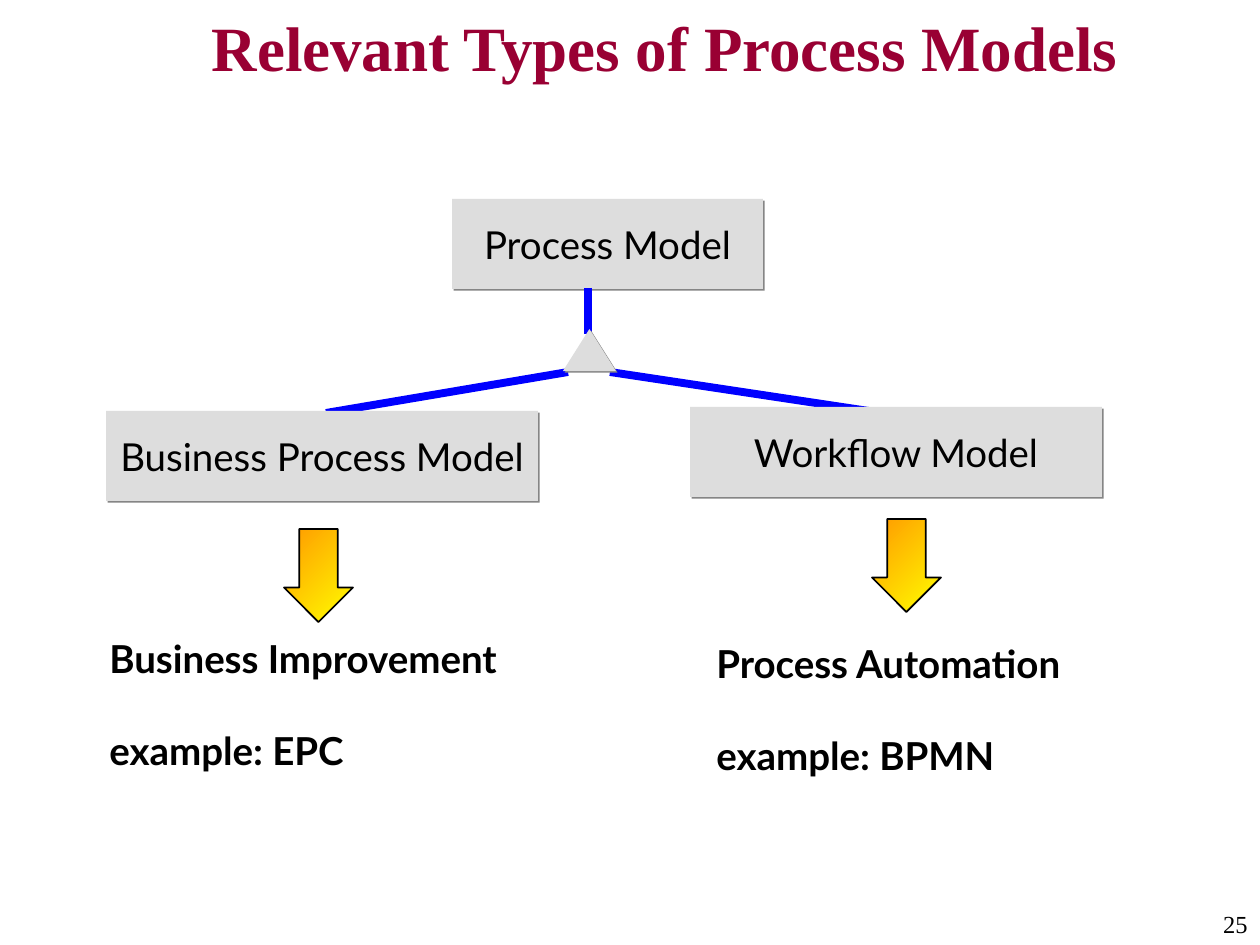
from typing import NamedTuple

from lxml.etree import SubElement
from pptx import Presentation
from pptx.dml.color import RGBColor
from pptx.enum.shapes import MSO_CONNECTOR, MSO_SHAPE as Kind
from pptx.enum.text import MSO_ANCHOR as Anchor, PP_ALIGN as Align
from pptx.oxml.ns import qn
from pptx.util import Emu, Pt

SCALE = 914400 / 126
SANS, SERIF = "Lato", "Times New Roman"
BLACK, GREY, SHADE, BLUE, RED = "000000", "DDDDDD", "858585", "0000FF", "990033"
ORANGE, YELLOW = "FF9900", "FFFF00"


class Area(NamedTuple):
    left: int
    top: int
    width: int
    height: int


class Box(NamedTuple):
    area: Area
    text: str


class Line(NamedTuple):
    x1: int
    y1: int
    x2: int
    y2: int


BOXES = [
    Box(Area(106, 411, 432, 90), "Business Process Model"),
    Box(Area(690, 407, 412, 90), "Workflow Model"),
    Box(Area(452, 199, 311, 90), "Process Model"),
]
NOTES = [
    Box(Area(97, 629, 469, 151), "Business Improvement\nexample: EPC"),
    Box(Area(704, 634, 412, 151), "Process Automation\nexample: BPMN"),
]
BRANCHES = [Line(882, 413, 610, 372), Line(568, 372, 326, 413)]
STEM = Line(588, 288, 588, 334)
JOINT = Area(563, 329, 53, 42)
ARROWS = [Area(872, 519, 69, 93), Area(284, 529, 69, 93)]


def px(num: int) -> Emu:
    return Emu(round(num * SCALE))


def spot(area: tuple) -> list[Emu]:
    return [px(num) for num in area]


def color(code: str) -> RGBColor:
    return RGBColor.from_string(code)


def write(shape, text: str, size: int, font: str = SANS, code: str = BLACK,
          bold: bool = False, align=Align.LEFT, anchor=Anchor.TOP, gap: int = 0) -> None:
    """Fill a shape with text; gap is the space in points before later paragraphs."""
    frame = shape.text_frame
    frame.text = text
    frame.word_wrap = True
    frame.vertical_anchor = anchor
    for num, para in enumerate(frame.paragraphs):
        para.alignment = align
        para.space_before = Pt(gap if num else 0)
        for run in para.runs:
            run.font.size, run.font.name, run.font.bold = Pt(size), font, bold
            run.font.color.rgb = color(code)


def add_block(slide, kind, area: Area):
    """Add a grey shape with a thin hard shadow."""
    shape = slide.shapes.add_shape(kind, *spot(area))
    shape.fill.solid()
    shape.fill.fore_color.rgb = color(GREY)
    shape.line.fill.background()
    shape.shadow.inherit = False
    effects = shape._element.spPr.find(qn("a:effectLst"))
    outer = SubElement(effects, qn("a:outerShdw"), dist=str(Pt(1.4)), dir="2700000",
                       algn="tl", rotWithShape="0")
    SubElement(outer, qn("a:srgbClr"), val=SHADE)
    return shape


def add_line(slide, line: Line) -> None:
    link = slide.shapes.add_connector(MSO_CONNECTOR.STRAIGHT, *spot(line))
    link.line.width = Pt(4.5)
    link.line.color.rgb = color(BLUE)
    SubElement(link._element.spPr, qn("a:effectLst"))


def add_arrow(slide, area: Area) -> None:
    arrow = slide.shapes.add_shape(Kind.DOWN_ARROW, *spot(area))
    arrow.adjustments[0], arrow.adjustments[1] = 0.56, 0.5
    arrow.fill.gradient()
    arrow.fill.gradient_angle = 315
    for stop, code, place in zip(arrow.fill.gradient_stops, (ORANGE, YELLOW), (0, 1)):
        stop.color.rgb = color(code)
        stop.position = place
    arrow.line.width = Pt(1)
    arrow.line.color.rgb = color(BLACK)
    arrow.shadow.inherit = False


def add_text(slide, area: Area, text: str, size: int, **style) -> None:
    write(slide.shapes.add_textbox(*spot(area)), text, size, **style)


def main() -> None:
    deck = Presentation()
    deck.slide_width, deck.slide_height = px(1260), px(945)
    slide = deck.slides.add_slide(deck.slide_layouts[5])

    title = slide.shapes.title
    title.left, title.top, title.width, title.height = spot(Area(199, 10, 1061, 73))
    write(title, "Relevant Types of Process Models", 36, SERIF, RED, True,
          anchor=Anchor.MIDDLE)

    for line in BRANCHES:
        add_line(slide, line)
    for box in BOXES:
        block = add_block(slide, Kind.RECTANGLE, box.area)
        write(block, box.text, 22, align=Align.CENTER, anchor=Anchor.MIDDLE)
    add_line(slide, STEM)
    for note in NOTES:
        add_text(slide, note.area, note.text, 22, bold=True, gap=26)
    for area in ARROWS:
        add_arrow(slide, area)
    add_block(slide, Kind.ISOSCELES_TRIANGLE, JOINT)
    add_text(slide, Area(1081, 903, 179, 42), "25", 14, font=SERIF, align=Align.RIGHT)

    deck.save("out.pptx")


if __name__ == "__main__":
    main()
